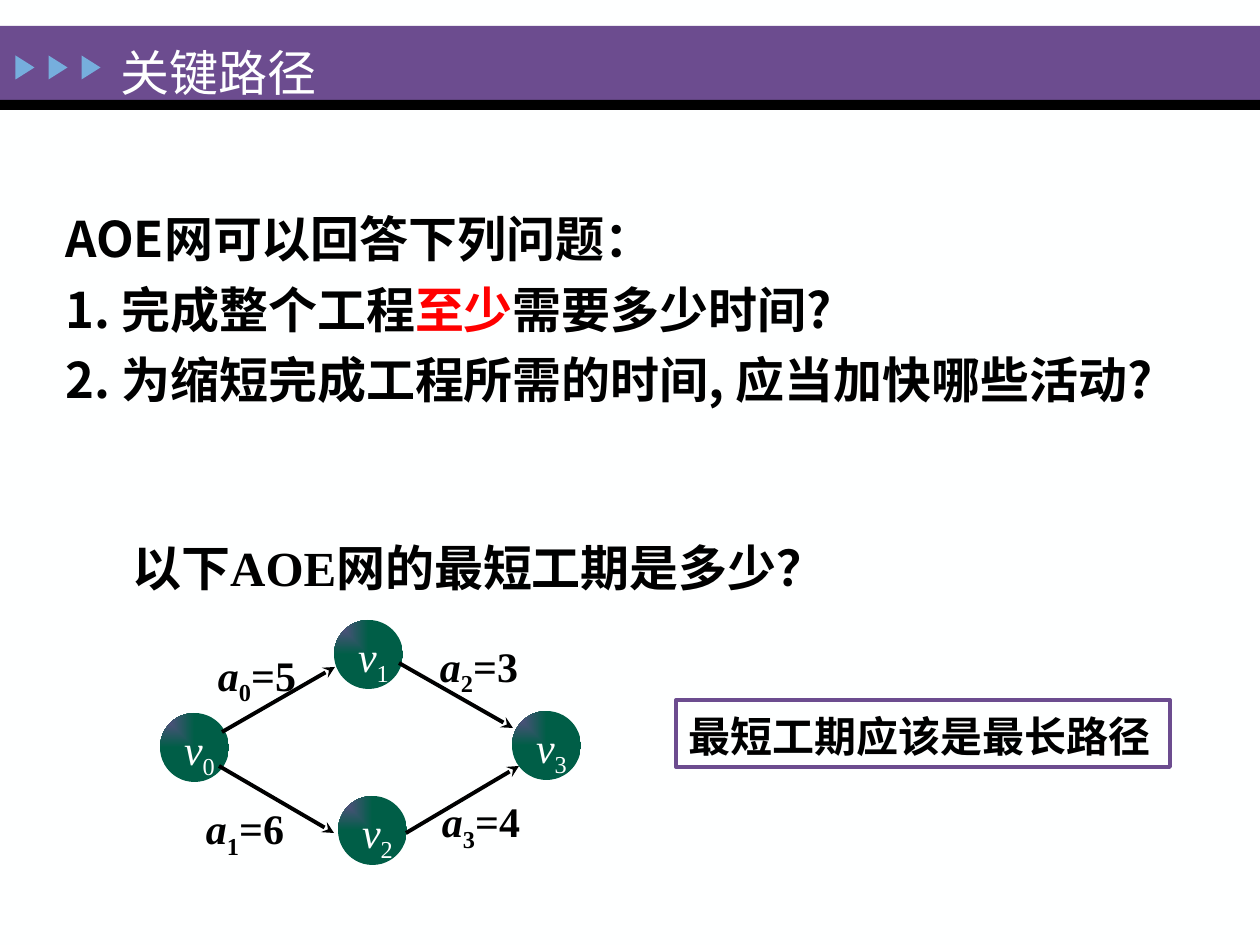
"""Build the critical path slide with its AOE network."""
from typing import NamedTuple

from lxml.etree import SubElement
from pptx import Presentation
from pptx.dml.color import RGBColor
from pptx.enum.shapes import MSO_CONNECTOR as Connector, MSO_SHAPE as Preset
from pptx.enum.text import MSO_ANCHOR as Anchor, MSO_AUTO_SIZE as AutoSize, PP_ALIGN as Align
from pptx.oxml.ns import qn
from pptx.util import Pt

EMU_PER_PX = 914400 / 126
SERIF, SANS = "Times New Roman", "Noto Sans CJK SC"
COLORS = {
    "paper": "FEFFFF", "ink": "000000", "purple": "6C4C8F",
    "sky": "76AEDD", "green": "005E47", "red": "FF0000",
}


class Span(NamedTuple):
    text: str
    color: str = "ink"
    bold: bool = True
    italic: bool = False
    subscript: bool = False


class Node(NamedTuple):
    index: str
    left: int
    top: int


class Edge(NamedTuple):
    index: str
    days: int
    start: tuple[int, int]
    end: tuple[int, int]
    label: tuple[int, int]


NODES = [Node("0", 160, 713), Node("1", 334, 620), Node("3", 512, 711), Node("2", 338, 796)]
EDGES = [
    Edge("0", 5, (222, 732), (335, 667), (218, 649)),
    Edge("1", 6, (219, 766), (334, 833), (206, 803)),
    Edge("2", 3, (399, 663), (513, 728), (440, 640)),
    Edge("3", 4, (406, 833), (519, 766), (442, 796)),
]
QUESTIONS = [
    [Span("AOE网可以回答下列问题：")],
    [Span("1. 完成整个工程"), Span("至少", "red"), Span("需要多少时间?")],
    [Span("2. 为缩短完成工程所需的时间, 应当加快哪些活动?")],
]


def px(length: int) -> int:
    return round(length * EMU_PER_PX)


def rgb(name: str) -> RGBColor:
    return RGBColor.from_string(COLORS[name])


def place(shape, left: int, top: int, width: int, height: int) -> None:
    shape.left, shape.top, shape.width, shape.height = map(px, (left, top, width, height))


def write(para, spans: list[Span], size: int, font: str = SERIF,
          align=Align.LEFT, leading: float = 0) -> None:
    properties = para._p.get_or_add_pPr()
    properties.set("marL", "0")
    properties.set("indent", "0")
    SubElement(properties, qn("a:buNone"))
    para.alignment = align
    para.space_before = Pt(0)
    if leading:
        para.line_spacing = Pt(round(size * leading, 1))
    for span in spans:
        run = para.add_run()
        run.text = span.text
        run.font.size, run.font.name = Pt(size), font
        run.font.bold, run.font.italic = span.bold, span.italic
        run.font.color.rgb = rgb(span.color)
        SubElement(run.font._element, qn("a:ea"), typeface=SANS)
        if span.subscript:
            run.font._element.set("baseline", "-25000")


def prepare(shape, inset: bool = True):
    frame = shape.text_frame
    frame.word_wrap, frame.auto_size = True, AutoSize.NONE
    frame.vertical_anchor = Anchor.TOP
    if not inset:
        frame.margin_left = frame.margin_top = frame.margin_right = frame.margin_bottom = 0
    return frame


def add_preset(page, preset, left: int, top: int, width: int, height: int, fill: str = ""):
    shape = page.shapes.add_shape(preset, *map(px, (left, top, width, height)))
    shape.shadow.inherit = False
    shape.line.fill.background()
    if fill:
        shape.fill.solid()
        shape.fill.fore_color.rgb = rgb(fill)
    else:
        shape.fill.background()
    return shape


def add_text(page, left: int, top: int, width: int, height: int, inset: bool = True):
    return prepare(page.shapes.add_textbox(*map(px, (left, top, width, height))), inset)


def add_header(page) -> None:
    add_preset(page, Preset.RECTANGLE, 0, 26, 1260, 74, "purple")
    add_preset(page, Preset.RECTANGLE, 0, 100, 1260, 10, "ink")
    for index in range(3):
        marker = add_preset(page, Preset.ISOSCELES_TRIANGLE, 13 + 33 * index, 58, 24, 19, "sky")
        marker.rotation = 90
    title = page.shapes.title
    place(title, 108, 32, 1000, 72)
    write(prepare(title).paragraphs[0], [Span("关键路径", "paper", bold=False)], 28, leading=1.29)
    page.shapes.element.append(title.element)


def add_questions(page) -> None:
    body = page.placeholders[1]
    place(body, 53, 191, 1131, 296)
    frame = prepare(body)
    for index, spans in enumerate(QUESTIONS):
        para = frame.add_paragraph() if index else frame.paragraphs[0]
        write(para, spans, 28, SANS, leading=1.44)


def add_node(page, node: Node) -> None:
    circle = add_preset(page, Preset.OVAL, node.left, node.top, 69, 69)
    circle.fill.gradient()
    for stop, color in zip(circle.fill.gradient_stops, ("purple", "green")):
        stop.color.rgb = rgb(color)
    gradient = circle.element.spPr.find(qn("a:gradFill"))
    gradient.remove(gradient.find(qn("a:lin")))
    shading = SubElement(gradient, qn("a:path"), path="rect")
    SubElement(shading, qn("a:fillToRect"), r="100000", b="100000")
    frame = prepare(circle, inset=False)
    frame.margin_left = px(10)
    spans = [Span("v", "paper", False, True), Span(node.index, "paper", False, subscript=True)]
    write(frame.paragraphs[0], spans, 24, align=Align.CENTER)


def add_edge(page, edge: Edge) -> None:
    arrow = page.shapes.add_connector(Connector.STRAIGHT, *map(px, edge.start + edge.end))
    arrow.line.color.rgb, arrow.line.width = rgb("ink"), Pt(2.25)
    SubElement(arrow.element.spPr.get_or_add_ln(), qn("a:tailEnd"), type="stealth")
    SubElement(arrow.element.spPr, qn("a:effectLst"))
    frame = add_text(page, *edge.label, 91, 72, inset=False)
    spans = [Span("a", italic=True), Span(edge.index, subscript=True), Span(f"={edge.days}")]
    write(frame.paragraphs[0], spans, 24, align=Align.JUSTIFY)


def add_callout(page) -> None:
    callout = add_preset(page, Preset.RECTANGLE, 676, 700, 494, 67)
    callout.line.color.rgb, callout.line.width = rgb("purple"), Pt(2.25)
    write(prepare(callout).paragraphs[0], [Span("最短工期应该是最长路径")], 24, leading=1.29)


def main() -> None:
    deck = Presentation()
    deck.slide_width, deck.slide_height = px(1260), px(945)
    page = deck.slides.add_slide(deck.slide_layouts[1])
    page.background.fill.solid()
    page.background.fill.fore_color.rgb = rgb("paper")
    add_header(page)
    add_questions(page)
    prompt = add_text(page, 120, 527, 1018, 72)
    write(prompt.paragraphs[0], [Span("以下AOE网的最短工期是多少？")], 28, leading=1.29)
    for node in NODES:
        add_node(page, node)
    for edge in EDGES:
        add_edge(page, edge)
    add_callout(page)
    deck.save("out.pptx")


if __name__ == "__main__":
    main()
